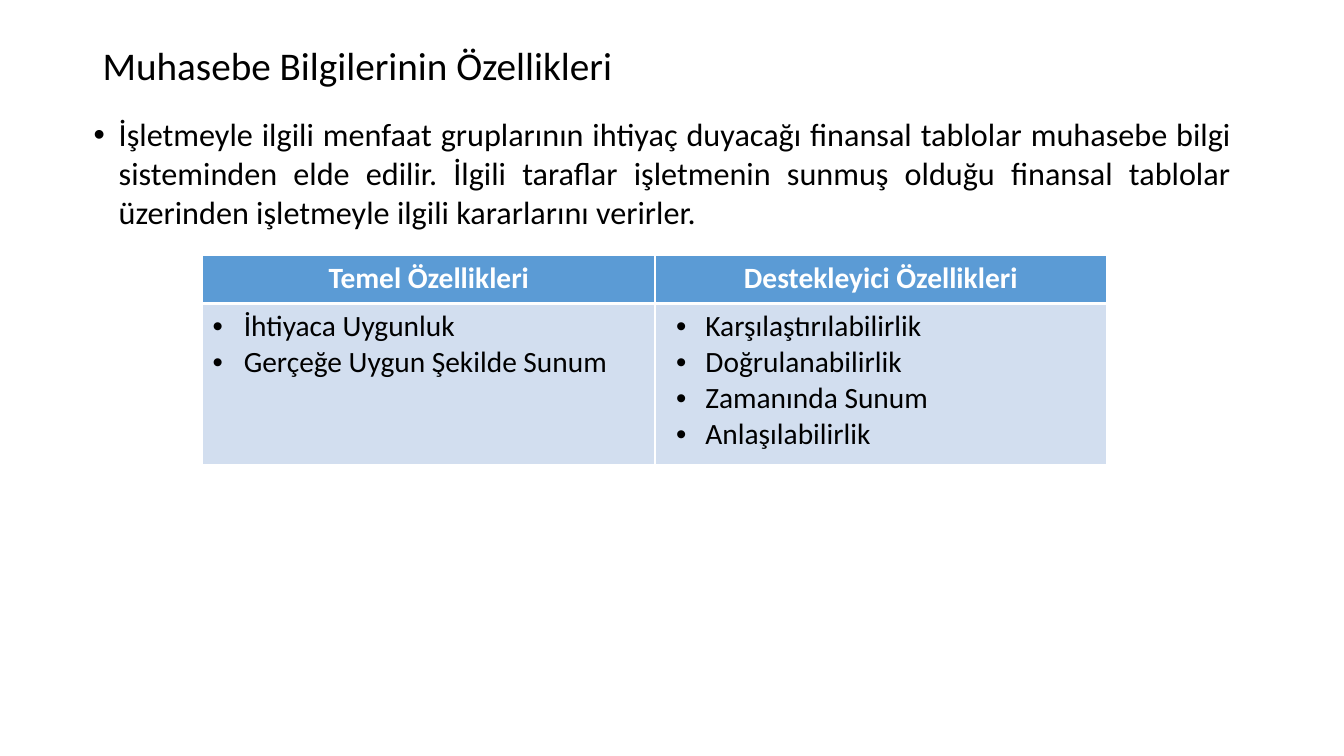
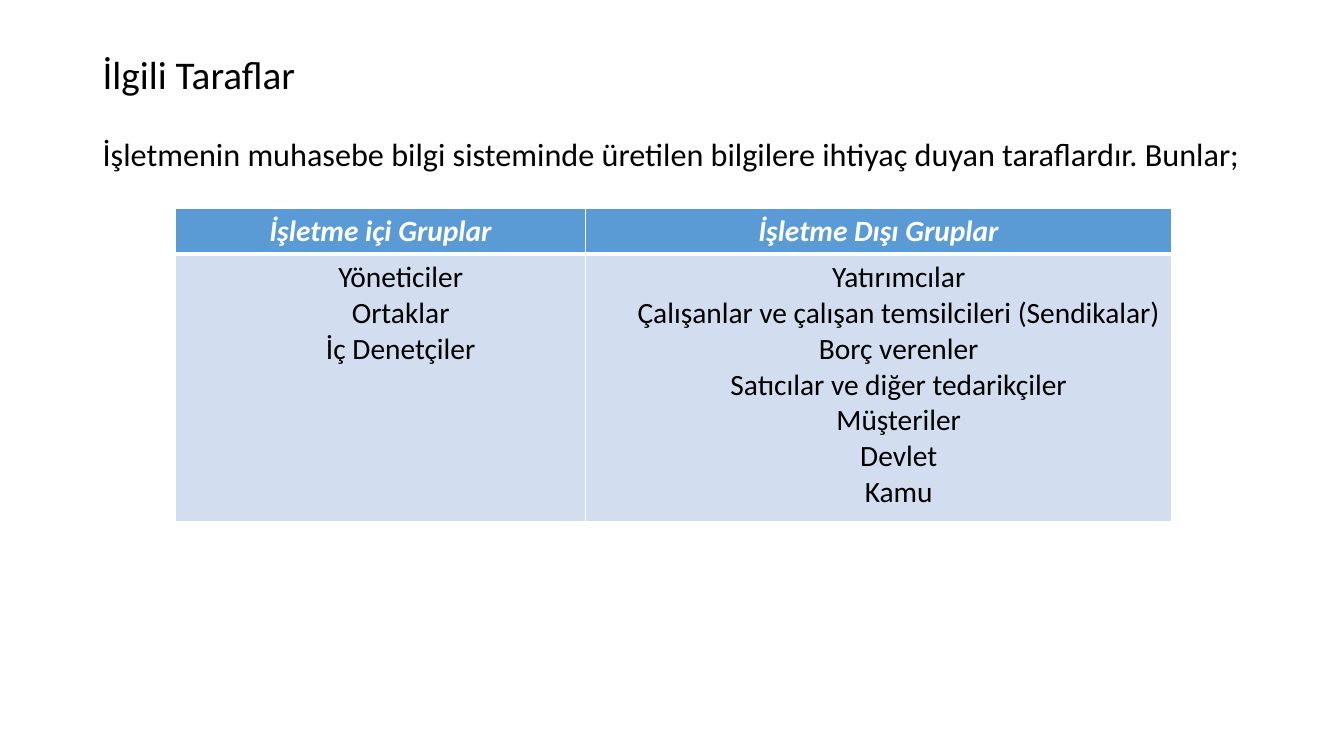
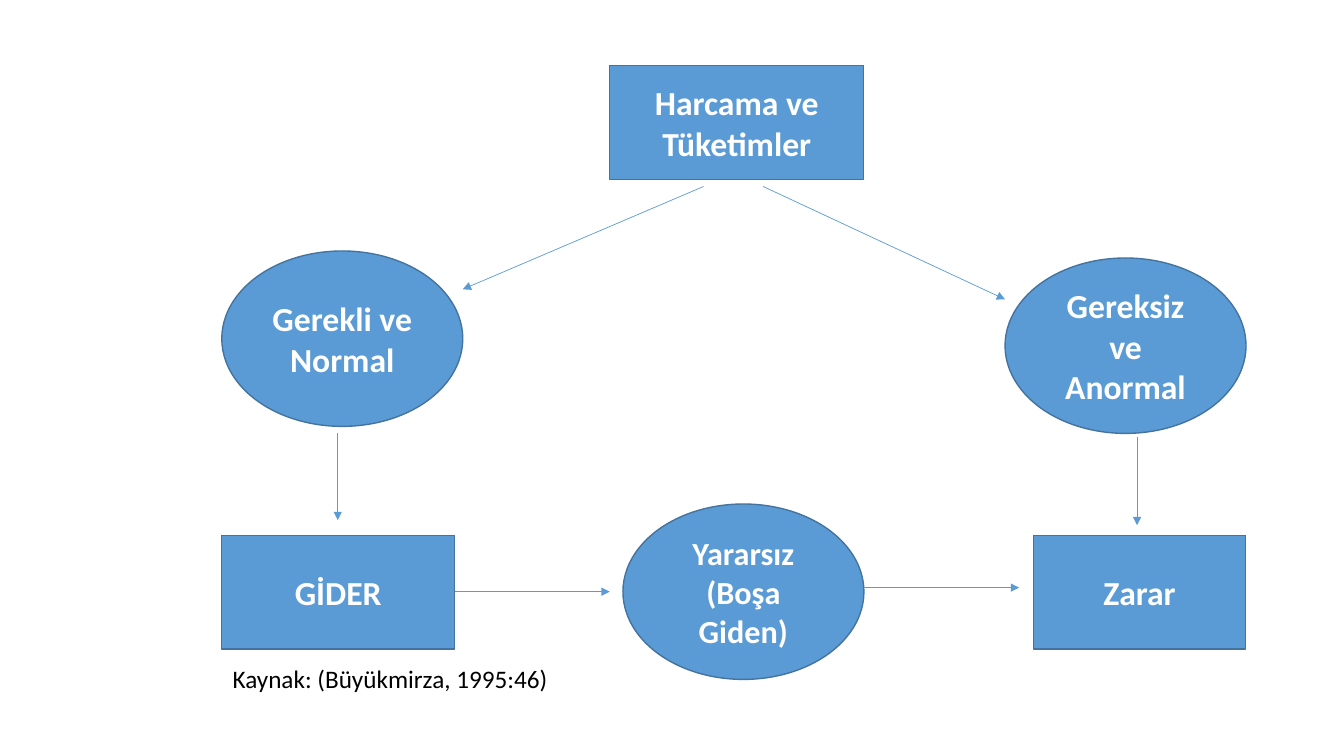
"""Build three slides on accounting information, its users and expense flow."""
from dataclasses import dataclass

from lxml import etree
from pptx import Presentation
from pptx.dml.color import RGBColor
from pptx.enum.shapes import MSO_CONNECTOR, MSO_SHAPE
from pptx.enum.text import MSO_ANCHOR, PP_ALIGN
from pptx.oxml.ns import qn
from pptx.util import Inches, Pt

LEFT, CENTER, JUSTIFY = PP_ALIGN.LEFT, PP_ALIGN.CENTER, PP_ALIGN.JUSTIFY
MIDDLE = MSO_ANCHOR.MIDDLE
RECT, OVAL = MSO_SHAPE.RECTANGLE, MSO_SHAPE.OVAL
STRAIGHT = MSO_CONNECTOR.STRAIGHT


@dataclass(frozen=True)
class Theme:
    font: str = "Calibri"
    ink: RGBColor = RGBColor.from_string("000000")
    paper: RGBColor = RGBColor.from_string("FFFFFF")
    accent: RGBColor = RGBColor.from_string("5B9BD5")
    outline: RGBColor = RGBColor.from_string("43739E")
    band: RGBColor = RGBColor.from_string("D2DEEF")
    title: int = 28
    node: int = 24
    body: int = 23
    cell: int = 21
    source: int = 18


theme = Theme()
deck = Presentation()
deck.slide_width, deck.slide_height = Inches(13.33), Inches(7.5)
COL, ROW = deck.slide_width / 100, deck.slide_height / 100
BLANK = deck.slide_layouts[6]


def place(col, row, wide, high):
    """Turn a box in hundredths of the slide into lengths."""
    return round(col * COL), round(row * ROW), round(wide * COL), round(high * ROW)


def write(frame, lines, size, color=theme.ink, align=LEFT, bold=False,
          italic=False, spacing=1.0, margin=0, indent=0, bullet=False):
    """Write one paragraph per line."""
    frame.word_wrap = True
    for number, line in enumerate(lines):
        paragraph = frame.add_paragraph() if number else frame.paragraphs[0]
        paragraph.alignment, paragraph.line_spacing = align, spacing
        props = paragraph._p.get_or_add_pPr()
        props.set("marL", str(Inches(margin)))
        props.set("indent", str(Inches(indent)))
        if bullet:
            etree.SubElement(props, qn("a:buFont"), typeface="Arial")
            etree.SubElement(props, qn("a:buChar"), char="•")
        run = paragraph.add_run()
        run.text = line
        run.font.name, run.font.size = theme.font, Pt(size)
        run.font.bold, run.font.italic = bold, italic
        run.font.color.rgb = color


basic_style = dict(margin=0.31, indent=-0.31, bullet=True)
support_style = dict(margin=0.4, indent=-0.29, bullet=True)
group_style = dict(margin=0.69, indent=-0.29, align=CENTER)

topics = [
    dict(
        title="Muhasebe Bilgilerinin Özellikleri",
        title_box=(6.9, 5.33, 86.25, 7.33),
        intro="İşletmeyle ilgili menfaat gruplarının ihtiyaç duyacağı finansal tablolar "
              "muhasebe bilgi sisteminden elde edilir. İlgili taraflar işletmenin sunmuş "
              "olduğu finansal tablolar üzerinden işletmeyle ilgili kararlarını verirler.",
        intro_box=(6.22, 14.53, 86.25, 74.53),
        intro_style=dict(align=JUSTIFY, margin=0.25, indent=-0.25, bullet=True),
        right_inset=0.1,
        corner=(15.07, 33.73),
        heights=(6.4, 21.33),
        italic=False,
        columns=[
            (33.67, "Temel Özellikleri", basic_style,
             ["İhtiyaca Uygunluk", "Gerçeğe Uygun Şekilde Sunum"]),
            (33.6, "Destekleyici Özellikleri", support_style,
             ["Karşılaştırılabilirlik", "Doğrulanabilirlik", "Zamanında Sunum",
              "Anlaşılabilirlik"]),
        ],
    ),
    dict(
        title="İlgili Taraflar",
        title_box=(6.9, 5.33, 86.25, 9.6),
        intro="İşletmenin muhasebe bilgi sisteminde üretilen bilgilere ihtiyaç duyan "
              "taraflardır. Bunlar;",
        intro_box=(6.9, 17.73, 86.25, 72.27),
        intro_style=dict(spacing=0.9),
        right_inset=0,
        corner=(13.05, 27.6),
        heights=(6, 35.33),
        italic=True,
        columns=[
            (30.53, "İşletme içi Gruplar", group_style,
             ["Yöneticiler", "Ortaklar", "İç Denetçiler"]),
            (43.58, "İşletme Dışı Gruplar", group_style,
             ["Yatırımcılar", "Çalışanlar ve çalışan temsilcileri (Sendikalar)",
              "Borç verenler", "Satıcılar ve diğer tedarikçiler", "Müşteriler",
              "Devlet", "Kamu"]),
        ],
    ),
]

for topic in topics:
    slide = deck.slides.add_slide(BLANK)
    heading = slide.shapes.add_textbox(*place(*topic["title_box"])).text_frame
    heading.vertical_anchor = MIDDLE
    write(heading, [topic["title"]], theme.title, spacing=0.9)
    intro = slide.shapes.add_textbox(*place(*topic["intro_box"])).text_frame
    intro.margin_right = Inches(topic["right_inset"])
    write(intro, [topic["intro"]], theme.body, **topic["intro_style"])

    columns, heights = topic["columns"], topic["heights"]
    width = sum(column[0] for column in columns)
    grid = slide.shapes.add_table(
        2, len(columns), *place(*topic["corner"], width, sum(heights))).table
    for row, height in zip(grid.rows, heights):
        row.height = round(height * ROW)
    for number, (wide, label, style, entries) in enumerate(columns):
        grid.columns[number].width = round(wide * COL)
        header, content = grid.cell(0, number), grid.cell(1, number)
        write(header.text_frame, [label], theme.cell, theme.paper, CENTER,
              bold=True, italic=topic["italic"])
        write(content.text_frame, entries, theme.cell, **style)
        for cell, fill, edges in (
                (header, theme.accent, dict(lnL=1, lnR=1, lnT=1, lnB=3)),
                (content, theme.band, dict(lnL=1, lnR=1, lnT=3, lnB=1))):
            props = cell._tc.get_or_add_tcPr()
            for edge, weight in edges.items():
                border = etree.SubElement(props, qn(f"a:{edge}"), w=str(Pt(weight)))
                paint = etree.SubElement(border, qn("a:solidFill"))
                etree.SubElement(paint, qn("a:srgbClr"), val=str(theme.paper))
            cell.fill.solid()
            cell.fill.fore_color.rgb = fill

slide = deck.slides.add_slide(BLANK)
source = slide.shapes.add_textbox(*place(16.57, 86.8, 67.2, 6.27)).text_frame
source.vertical_anchor = MIDDLE
write(source, ["Kaynak: (Büyükmirza, 1995:46)"], theme.source, spacing=0.9)

rect_high, oval_wide, oval_high = 15.07, 17.93, 23.2
left_edge, end_row = 16.5, 70.8
stages = [
    (RECT, "Harcama ve Tüketimler", theme.node, (45.37, 8.67, 18.9, rect_high)),
    (OVAL, "Gerekli ve Normal", theme.node, (left_edge, 33.2, oval_wide, oval_high)),
    (OVAL, "Gereksiz ve Anormal", theme.node, (74.78, 34.13, oval_wide, oval_high)),
    (RECT, "GİDER", theme.node, (left_edge, end_row, 17.33, rect_high)),
    (RECT, "Zarar", theme.node, (76.88, end_row, 15.82, rect_high)),
    (OVAL, "Yararsız (Boşa Giden)", theme.body, (46.35, 66.67, oval_wide, oval_high)),
]
for outline, label, size, box in stages:
    stage = slide.shapes.add_shape(outline, *place(*box))
    stage.shadow.inherit = False
    stage.fill.solid()
    stage.fill.fore_color.rgb = theme.accent
    stage.line.color.rgb, stage.line.width = theme.outline, Pt(1)
    stage.text_frame.vertical_anchor = MIDDLE
    write(stage.text_frame, [label], size, theme.paper, CENTER, bold=True)

flows = [
    (52.35, 24.67, 34.43, 38.27),
    (56.78, 24.67, 74.78, 39.6),
    (25.13, 57.33, 25.13, 68.8),
    (84.6, 57.87, 84.6, 69.47),
    (33.83, 78.27, 45.37, 78.27),
    (64.28, 77.73, 75.83, 77.73),
]
for ends in flows:
    arrow = slide.shapes.add_connector(STRAIGHT, *place(*ends))
    arrow.line.color.rgb, arrow.line.width = theme.accent, Pt(0.5)
    etree.SubElement(arrow.line._get_or_add_ln(), qn("a:tailEnd"), type="triangle")
    etree.SubElement(arrow._element.spPr, qn("a:effectLst"))

deck.save("out.pptx")
